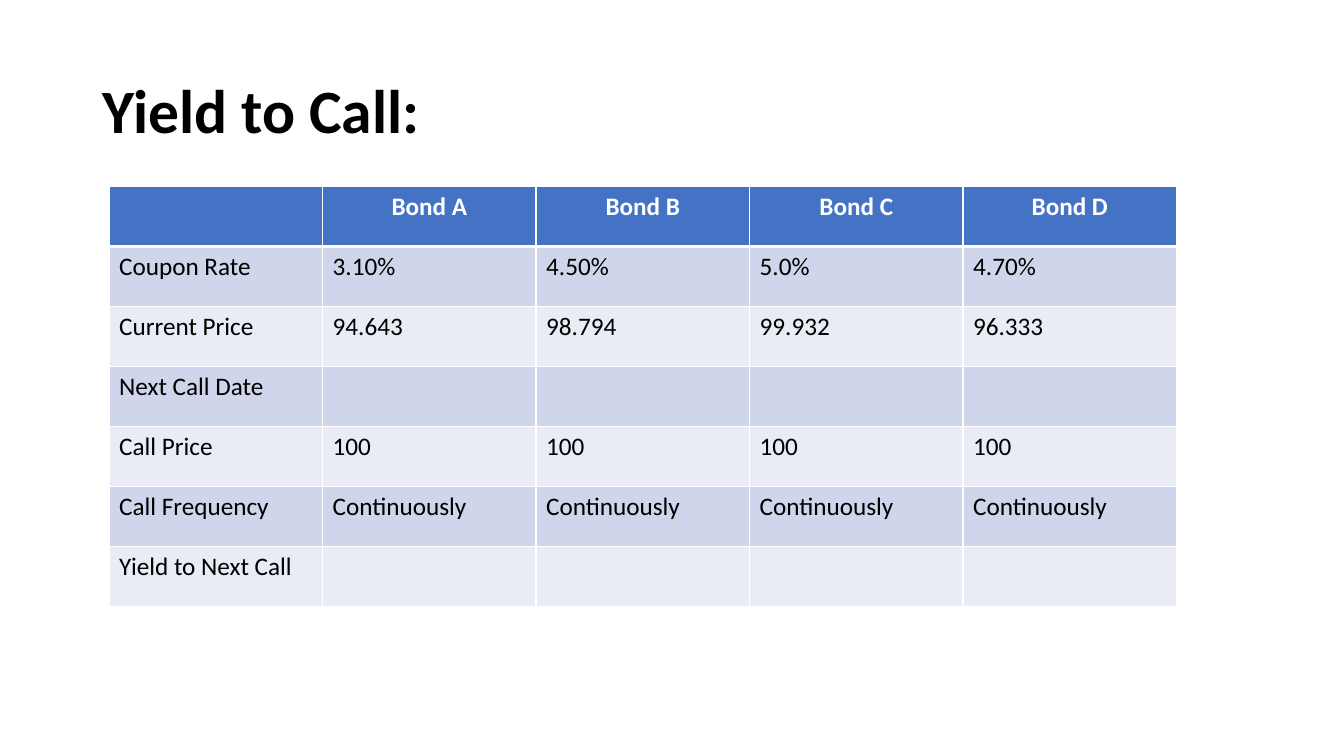
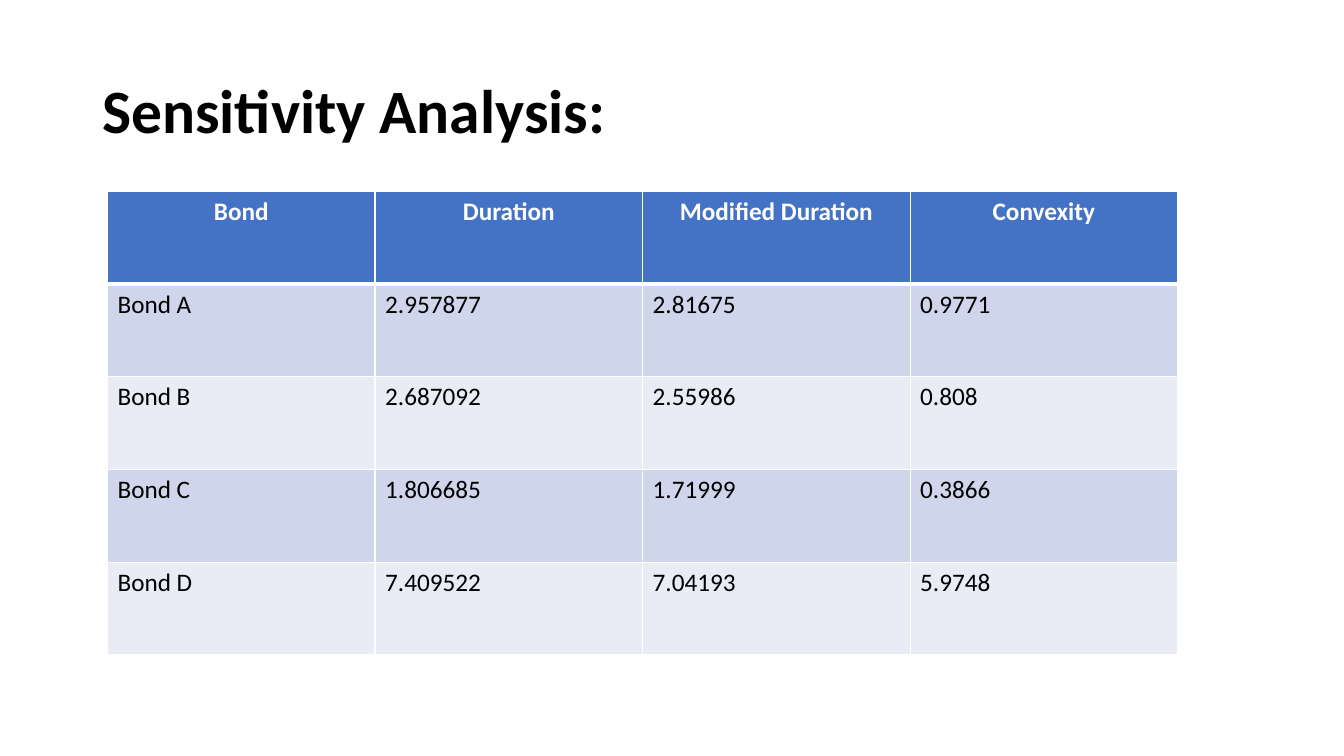
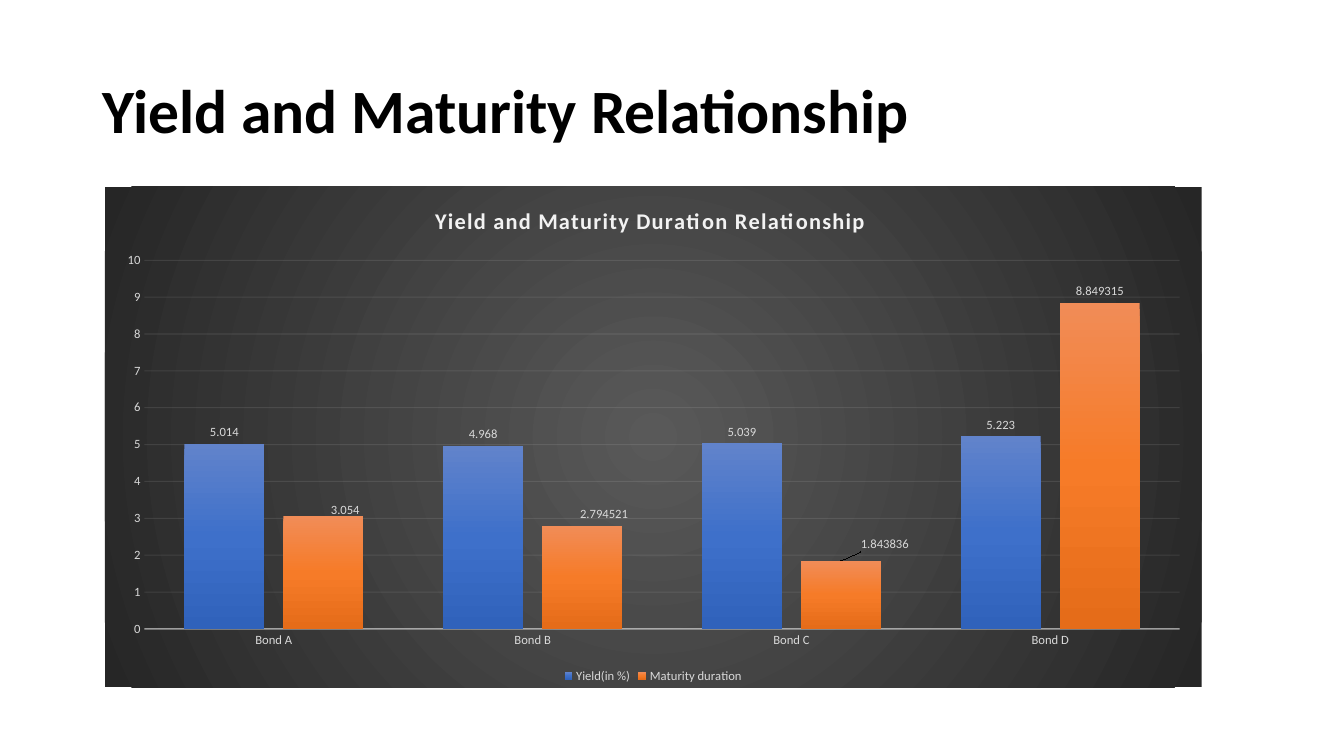
from pptx import Presentation
from pptx.chart.data import CategoryChartData
from pptx.dml.color import RGBColor
from pptx.enum.chart import (XL_CHART_TYPE, XL_LABEL_POSITION, XL_LEGEND_POSITION,
                             XL_TICK_MARK)
from pptx.enum.text import MSO_ANCHOR, PP_ALIGN
from pptx.oxml import parse_xml
from pptx.oxml.ns import nsdecls, qn
from pptx.util import Cm, Pt

FONT = "Calibri"
COLORS = {
    "ink": "000000", "white": "FFFFFF",
    "header": "4472C4", "band_dark": "CFD5EA", "band_light": "E9EBF5",
    "chart_center": "595959", "chart_edge": "262626",
    "chart_text": "D9D9D9", "chart_line": "F2F2F2",
    "blue_top": "6183CB", "blue_mid": "3E70CA", "blue_base": "3062BB",
    "orange_top": "F18C57", "orange_mid": "F67B28", "orange_base": "E56C19",
}
TITLE_BOX = (2.33, 1.02, 29.21, 3.68)
BONDS = ["Bond A", "Bond B", "Bond C", "Bond D"]
DOWNWARD = '<a:lin ang="5400000" scaled="0"/>'
FROM_CENTER = ('<a:path path="circle"><a:fillToRect l="50000" t="50000" '
               'r="50000" b="50000"/></a:path>')

CALL_ROWS = [
    ["", *BONDS],
    ["Coupon Rate", "3.10%", "4.50%", "5.0%", "4.70%"],
    ["Current Price", "94.643", "98.794", "99.932", "96.333"],
    ["Next Call Date"] + [""] * 4,
    ["Call Price"] + ["100"] * 4,
    ["Call Frequency"] + ["Continuously"] * 4,
    ["Yield to Next Call"] + [""] * 4,
]
SENSITIVITY_ROWS = [
    ["Bond", "Duration", "Modified Duration", "Convexity"],
    ["Bond A", "2.957877", "2.81675", "0.9771"],
    ["Bond B", "2.687092", "2.55986", "0.808"],
    ["Bond C", "1.806685", "1.71999", "0.3866"],
    ["Bond D", "7.409522", "7.04193", "5.9748"],
]
# Name, values, gradient colours
SERIES = [
    ("Yield(in %)", (5.014, 4.968, 5.039, 5.223),
     ("blue_top", "blue_mid", "blue_base")),
    ("Maturity duration", (3.054, 2.794521, 1.843836, 8.849315),
     ("orange_top", "orange_mid", "orange_base")),
]
# Maturity labels moved by a share of the chart: point, right, down
MOVED_LABELS = [(0, 0.02, 0.01), (1, 0.02, 0), (2, 0.04, -0.01)]


def rgb(color):
    return RGBColor.from_string(COLORS[color])


def style_font(font, size, color, bold=False):
    font.name, font.size, font.bold = FONT, Pt(size), bold
    font.color.rgb = rgb(color)


def add_run(paragraph, text, size, color, bold=False):
    run = paragraph.add_run()
    run.text = text
    style_font(run.font, size, color, bold)
    return run


def gradient(colors, direction):
    step = 100000 // (len(colors) - 1)
    stops = "".join(f'<a:gs pos="{i * step}"><a:srgbClr val="{COLORS[color]}"/></a:gs>'
                    for i, color in enumerate(colors))
    return parse_xml(f'<a:gradFill {nsdecls("a")} rotWithShape="1">'
                     f'<a:gsLst>{stops}</a:gsLst>{direction}</a:gradFill>')


def layout(values, head=""):
    parts = "".join(f'<c:{tag} val="{value}"/>' for tag, value in zip("xywh", values))
    return parse_xml(f'<c:layout {nsdecls("c")}><c:manualLayout>{head}{parts}'
                     '</c:manualLayout></c:layout>')


def edge_layout(place, chart_box, target=""):
    """Turn a place inside the chart, in cm, into shares of the chart."""
    shares = [length / chart_box[2 + i % 2] for i, length in enumerate(place)]
    return layout(shares, target + '<c:xMode val="edge"/><c:yMode val="edge"/>')


def replace_layout(parent, new_layout, after=None):
    for old in parent.findall(qn("c:layout")):
        parent.remove(old)
    if after is None:
        parent.insert(0, new_layout)
    else:
        parent.find(qn(after)).addnext(new_layout)


def style_line(line, width, opacity):
    line.width = Pt(width)
    line.color.rgb = rgb("chart_line")
    color = line._get_or_add_ln().find(".//" + qn("a:srgbClr"))
    color.append(parse_xml(f'<a:alpha {nsdecls("a")} val="{opacity * 1000}"/>'))


def add_titled_slide(prs, title):
    slide = prs.slides.add_slide(prs.slide_layouts[6])
    frame = slide.shapes.add_textbox(*map(Cm, TITLE_BOX)).text_frame
    frame.word_wrap = True
    frame.vertical_anchor = MSO_ANCHOR.MIDDLE
    heading = frame.paragraphs[0]
    heading.line_spacing = 0.9
    add_run(heading, title, 44, "ink", bold=True)
    return slide


def set_borders(cell, top, bottom):
    props = cell._tc.get_or_add_tcPr()
    for side, width in (("L", 1), ("R", 1), ("T", top), ("B", bottom)):
        props.append(parse_xml(
            f'<a:ln{side} {nsdecls("a")} w="{Pt(width)}"><a:solidFill>'
            f'<a:srgbClr val="{COLORS["white"]}"/></a:solidFill></a:ln{side}>'))


def add_bond_table(slide, rows, box):
    left, top, width, height = map(Cm, box)
    table = slide.shapes.add_table(len(rows), len(rows[0]), left, top,
                                   width, height).table
    for r, row in enumerate(rows):
        is_header = r == 0
        fill = "header" if is_header else ("band_light", "band_dark")[r % 2]
        for c, text in enumerate(row):
            cell = table.cell(r, c)
            set_borders(cell, top=3 if r == 1 else 1, bottom=3 if is_header else 1)
            cell.fill.solid()
            cell.fill.fore_color.rgb = rgb(fill)
            paragraph = cell.text_frame.paragraphs[0]
            if is_header:
                paragraph.alignment = PP_ALIGN.CENTER
            if text:
                add_run(paragraph, text, 18, "white" if is_header else "ink", is_header)


def style_axes(chart):
    for axis in (chart.category_axis, chart.value_axis):
        axis.major_tick_mark = axis.minor_tick_mark = XL_TICK_MARK.NONE
        style_font(axis.tick_labels.font, 9, "chart_text")
    style_line(chart.category_axis.format.line, 1, 54)
    values = chart.value_axis
    values.minimum_scale, values.maximum_scale, values.major_unit = 0, 10, 1
    values.format.line.fill.background()
    style_line(values.major_gridlines.format.line, 0.75, 10)


def style_series(plot):
    for series, (_, _, colors) in zip(plot.series, SERIES):
        series.invert_if_negative = False
        series._element.get_or_add_spPr().append(gradient(colors, DOWNWARD))
        labels = series.data_labels
        labels.show_value = True
        labels.position = XL_LABEL_POSITION.OUTSIDE_END
        labels.number_format, labels.number_format_is_linked = "General", False
        style_font(labels.font, 9, "chart_text")
    maturity = plot.series[1]
    for point, right, down in MOVED_LABELS:
        label = maturity.points[point].data_label
        style_font(label.font, 9, "chart_text")
        label.position = XL_LABEL_POSITION.OUTSIDE_END
        replace_layout(label._get_or_add_dLbl(), layout((right, down)), after="c:idx")


def add_maturity_chart(slide, box):
    data = CategoryChartData()
    data.categories = BONDS
    for name, values, _ in SERIES:
        data.add_series(name, values)
    chart = slide.shapes.add_chart(XL_CHART_TYPE.COLUMN_CLUSTERED,
                                   *map(Cm, box), data).chart
    style_font(chart.font, 10, "ink")

    # Dark backdrop
    backdrop = parse_xml(f'<c:spPr {nsdecls("c", "a")}><a:ln><a:noFill/></a:ln></c:spPr>')
    backdrop.insert(0, gradient(("chart_center", "chart_edge"), FROM_CENTER))
    chart_part = chart._chartSpace.find(qn("c:chart"))
    chart_part.addnext(backdrop)

    # Chart title
    heading = chart.chart_title.text_frame.paragraphs[0]
    run = add_run(heading, "Yield and Maturity Duration Relationship", 16,
                  "chart_line", bold=True)
    run.font._element.set("spc", "100")
    chart.chart_title.include_in_layout = False
    replace_layout(chart_part.find(qn("c:title")), edge_layout((8.22, 0.38), box), "c:tx")

    # Columns, axes and legend
    plot = chart.plots[0]
    plot.gap_width, plot.overlap, plot.vary_by_categories = 100, -24, False
    replace_layout(chart_part.find(qn("c:plotArea")),
                   edge_layout((1, 1.86, 26.09, 9.29), box,
                               '<c:layoutTarget val="inner"/>'))
    style_series(plot)
    style_axes(chart)
    chart.has_legend = True
    chart.legend.position = XL_LEGEND_POSITION.BOTTOM
    chart.legend.include_in_layout = False
    style_font(chart.legend.font, 9, "chart_text")


def main():
    prs = Presentation()
    prs.slide_width, prs.slide_height = Cm(33.87), Cm(19.05)
    add_bond_table(add_titled_slide(prs, "Yield to Call:"), CALL_ROWS,
                   (2.75, 4.7, 26.9, 10.59))
    add_bond_table(add_titled_slide(prs, "Sensitivity Analysis:"), SENSITIVITY_ROWS,
                   (2.71, 4.82, 26.97, 11.68))
    add_maturity_chart(add_titled_slide(prs, "Yield and Maturity Relationship"),
                       (2.64, 4.7, 27.64, 12.62))
    prs.save("out.pptx")


if __name__ == "__main__":
    main()
